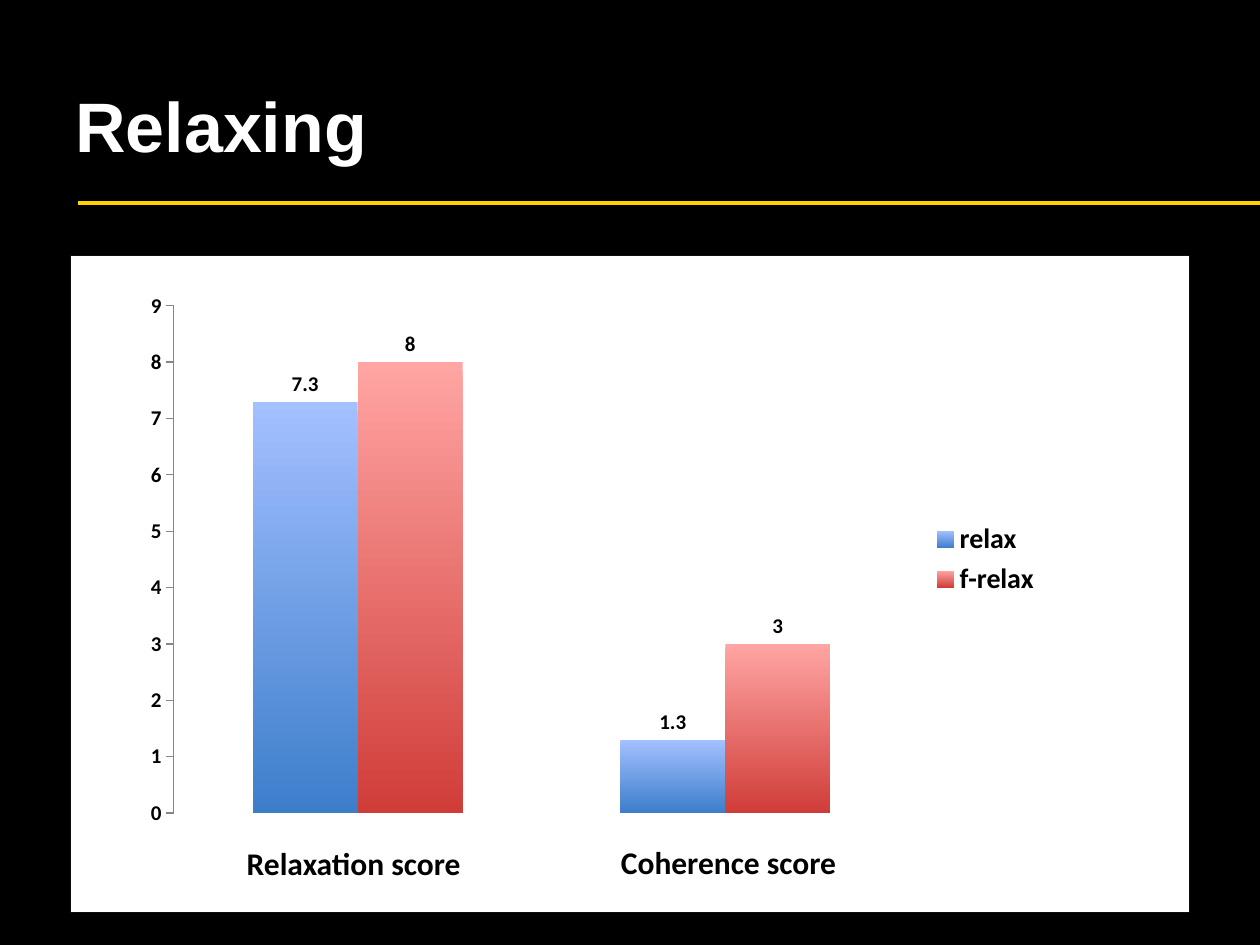
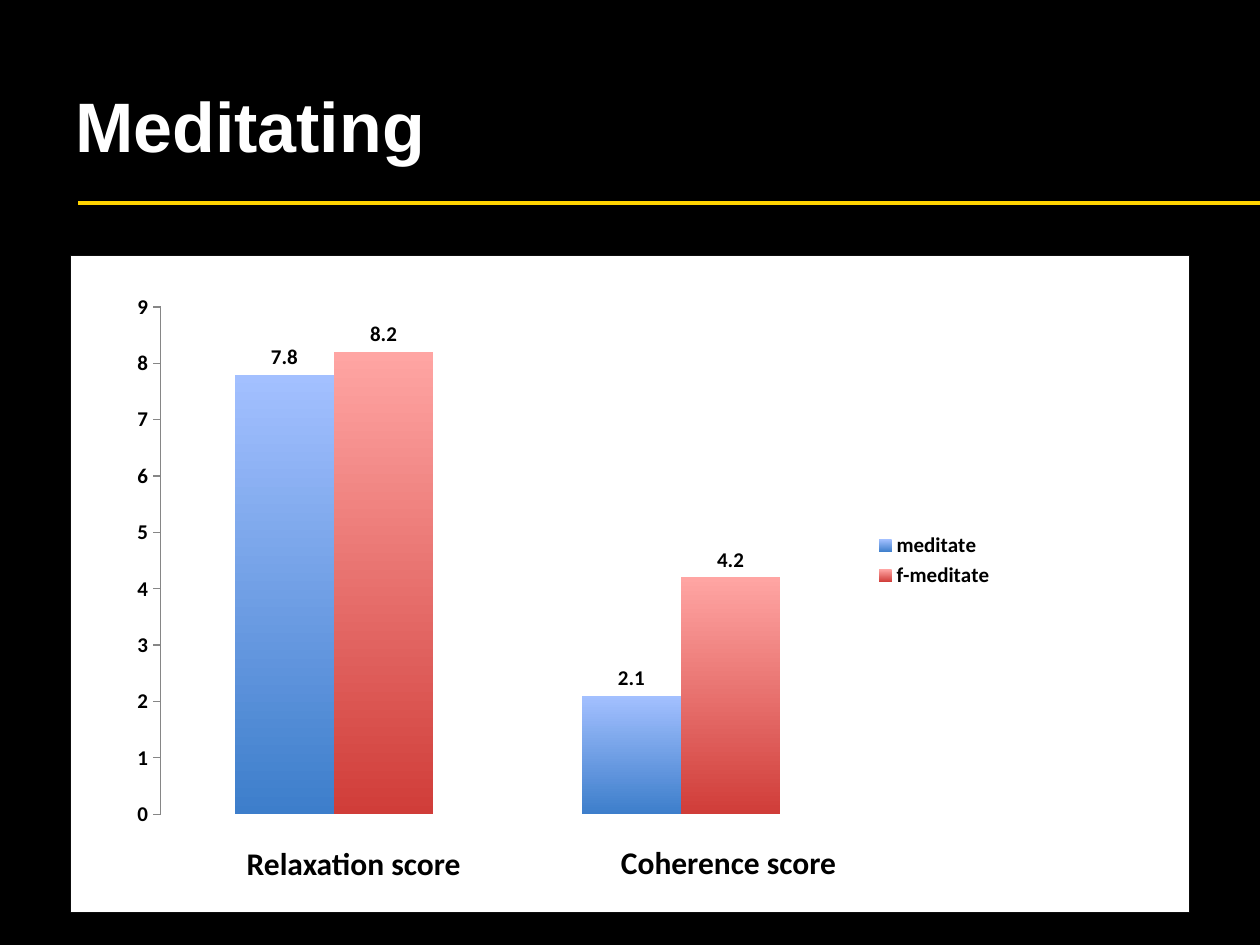
"""Build two score slides, each with a clustered column chart on a white panel."""
from dataclasses import dataclass
from typing import Any

from lxml.etree import SubElement
from pptx import Presentation
from pptx.chart.data import CategoryChartData
from pptx.dml.color import RGBColor
from pptx.enum.chart import XL_CHART_TYPE, XL_LABEL_POSITION, XL_LEGEND_POSITION, XL_TICK_MARK
from pptx.enum.shapes import MSO_CONNECTOR, MSO_SHAPE
from pptx.enum.text import MSO_ANCHOR
from pptx.oxml.ns import qn
from pptx.util import Emu, Pt

EMU_PER_PX = 9144


@dataclass(frozen=True)
class Theme:
    black: str = "000000"
    white: str = "FFFFFF"
    backdrop_line: str = "4B7EBC"
    panel_line: str = "0D0D0D"
    rule: str = "FFD300"
    axis: str = "868686"
    gradients: tuple[tuple[str, str], ...] = (("A3C0FF", "3D7ECB"), ("FFA5A3", "D03D39"))
    title_font: str = "Arial"
    body_font: str = "Calibri"
    title_size: int = 40
    caption_size: int = 18
    chart_size: int = 10
    label_size: int = 12


@dataclass(frozen=True)
class Box:
    left: int
    top: int
    width: int
    height: int

    def emu(self) -> tuple[Emu, ...]:
        return tuple(px(value) for value in (self.left, self.top, self.width, self.height))


@dataclass(frozen=True)
class Panel:
    box: Box
    fill: str
    line: str


@dataclass(frozen=True)
class Label:
    text: str
    box: Box
    font: str
    size: int
    color: str
    anchor: MSO_ANCHOR = MSO_ANCHOR.TOP


@dataclass(frozen=True)
class ScoreSlide:
    title: str
    chart_box: Box
    legend_size: int
    series: dict[str, tuple[float, float]]


THEME = Theme()
PANELS = (
    Panel(Box(-9, -12, 1018, 775), THEME.black, THEME.backdrop_line),
    Panel(Box(56, 203, 888, 521), THEME.white, THEME.panel_line),
)
CAPTIONS = (
    Label("Relaxation score", Box(186, 665, 217, 40), THEME.body_font, THEME.caption_size, THEME.black),
    Label("Coherence score", Box(483, 664, 217, 40), THEME.body_font, THEME.caption_size, THEME.black),
)
SLIDES = (
    ScoreSlide("Relaxing", Box(105, 224, 731, 440), 16,
               {"relax": (7.3, 1.3), "f-relax": (8, 3)}),
    ScoreSlide("Meditating", Box(95, 225, 704, 440), 12,
               {"meditate": (7.8, 2.1), "f-meditate": (8.2, 4.2)}),
)


def px(value: int) -> Emu:
    return Emu(value * EMU_PER_PX)


def rgb(value: str) -> RGBColor:
    return RGBColor.from_string(value)


def apply_format(target: Any, values: dict[str, Any]) -> None:
    for name, value in values.items():
        setattr(target, name, value)


def style_font(font: Any, size: int, color: str = THEME.black,
               name: str = THEME.body_font, bold: bool = True) -> None:
    apply_format(font, {"size": Pt(size), "name": name, "bold": bold})
    font.color.rgb = rgb(color)


def add_panel(slide: Any, panel: Panel) -> None:
    shape = slide.shapes.add_shape(MSO_SHAPE.RECTANGLE, *panel.box.emu())
    shape.shadow.inherit = False
    shape.fill.solid()
    shape.fill.fore_color.rgb = rgb(panel.fill)
    shape.line.color.rgb = rgb(panel.line)
    shape.line.width = Pt(0.75)


def add_label(slide: Any, label: Label) -> None:
    frame = slide.shapes.add_textbox(*label.box.emu()).text_frame
    apply_format(frame, {"word_wrap": True, "vertical_anchor": label.anchor})
    run = frame.paragraphs[0].add_run()
    run.text = label.text
    style_font(run.font, label.size, label.color, label.font)


def add_rule(slide: Any) -> None:
    rule = slide.shapes.add_connector(MSO_CONNECTOR.STRAIGHT, px(62), px(161), px(1057), px(161))
    rule.line.color.rgb = rgb(THEME.rule)
    rule.line.width = Pt(2)
    SubElement(rule.element.spPr, qn("a:effectLst"))


def style_axes(chart: Any) -> None:
    apply_format(chart.category_axis, {"visible": False, "has_major_gridlines": False})
    axis = chart.value_axis
    apply_format(axis, {
        "minimum_scale": 0, "maximum_scale": 9, "major_unit": 1,
        "has_major_gridlines": False,
        "major_tick_mark": XL_TICK_MARK.OUTSIDE, "minor_tick_mark": XL_TICK_MARK.NONE,
    })
    axis.format.line.color.rgb = rgb(THEME.axis)
    axis.format.line.width = Pt(0.75)
    style_font(axis.tick_labels.font, THEME.label_size)


def style_series(series: Any, gradient: tuple[str, str]) -> None:
    fill = series.format.fill
    fill.gradient()
    fill.gradient_angle = 270
    for stop, color in zip(fill.gradient_stops, gradient):
        stop.color.rgb = rgb(color)
    series.format.line.fill.background()
    series.invert_if_negative = False
    labels = series.data_labels
    apply_format(labels, {"show_value": True, "position": XL_LABEL_POSITION.OUTSIDE_END})
    style_font(labels.font, THEME.label_size)


def add_score_chart(slide: Any, content: ScoreSlide) -> None:
    data = CategoryChartData()
    data.categories = ["1", "2"]
    for name, values in content.series.items():
        data.add_series(name, values)
    chart = slide.shapes.add_chart(
        XL_CHART_TYPE.COLUMN_CLUSTERED, *content.chart_box.emu(), data).chart
    apply_format(chart, {"has_title": False, "has_legend": True})
    style_font(chart.font, THEME.chart_size, bold=False)
    apply_format(chart.legend, {"position": XL_LEGEND_POSITION.RIGHT, "include_in_layout": False})
    style_font(chart.legend.font, content.legend_size)
    plot = chart.plots[0]
    apply_format(plot, {"gap_width": 150, "overlap": 0, "vary_by_categories": False})
    style_axes(chart)
    for series, gradient in zip(plot.series, THEME.gradients):
        style_series(series, gradient)


def add_score_slide(presentation: Any, content: ScoreSlide) -> None:
    slide = presentation.slides.add_slide(presentation.slide_layouts[6])
    backdrop, chart_panel = PANELS
    add_panel(slide, backdrop)
    add_label(slide, Label(content.title, Box(50, 36, 900, 125), THEME.title_font,
                           THEME.title_size, THEME.white, MSO_ANCHOR.MIDDLE))
    add_rule(slide)
    add_panel(slide, chart_panel)
    for caption in CAPTIONS:
        add_label(slide, caption)
    add_score_chart(slide, content)


def main() -> None:
    presentation = Presentation()
    apply_format(presentation, {"slide_width": px(1000), "slide_height": px(750)})
    for content in SLIDES:
        add_score_slide(presentation, content)
    presentation.save("out.pptx")


if __name__ == "__main__":
    main()
